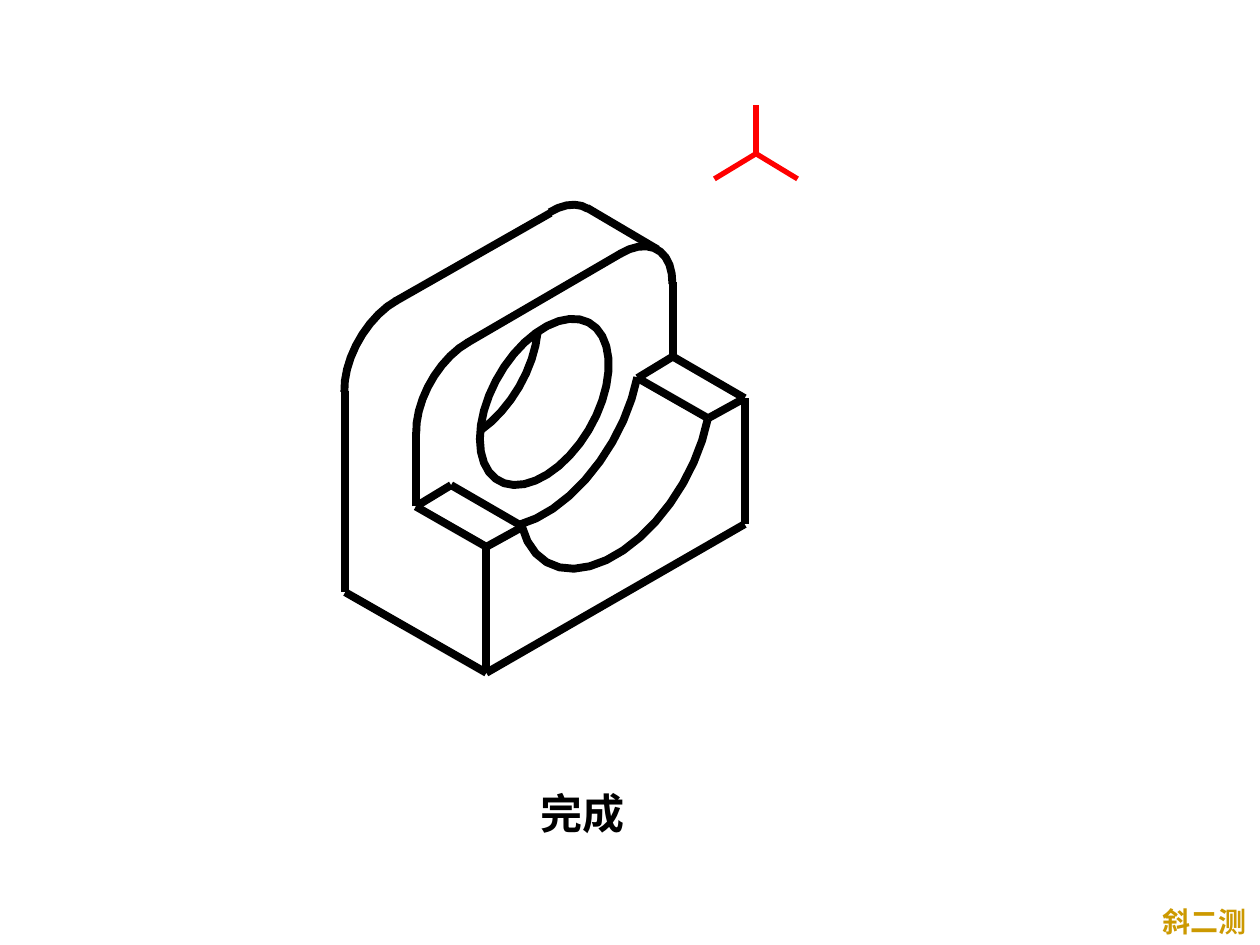
from dataclasses import dataclass
from math import ceil, cos, radians, sin

from lxml.etree import SubElement
from pptx import Presentation
from pptx.dml.color import RGBColor
from pptx.enum.shapes import MSO_CONNECTOR
from pptx.enum.text import MSO_ANCHOR, PP_ALIGN
from pptx.oxml.ns import qn
from pptx.util import Inches, Pt


@dataclass(frozen=True)
class Theme:
    font: str = "Times New Roman"
    ink: str = "000000"
    axis: str = "FF0000"
    note: str = "CC9900"
    title_size: int = 24
    note_size: int = 16
    outline: float = 4.5
    axis_line: float = 3


THEME = Theme()
TITLE = ("完成", (3.25, 6, 2.75, 0.9))
NOTE = ("斜二测", (9.13, 7.13, 0.86, 0.37))

POINTS = {
    "back left foot": (2.74, 4.7),
    "back left shoulder": (2.74, 3.1),
    "back left top": (3.14, 2.39),
    "back right top": (4.37, 1.69),
    "back tangent": (4.66, 1.65),
    "plate tangent": (5.22, 1.98),
    "plate left shoulder": (3.3, 3.43),
    "plate left top": (3.71, 2.72),
    "plate right top": (4.93, 2.01),
    "plate right shoulder": (5.34, 2.24),
    "left step outer": (3.3, 4.02),
    "left step inner": (3.58, 3.85),
    "right step outer": (5.34, 2.83),
    "right step inner": (5.06, 3),
    "front left top": (3.86, 4.34),
    "front left foot": (3.86, 5.34),
    "front right top": (5.91, 3.16),
    "front right foot": (5.91, 4.16),
    "groove left": (4.15, 4.18),
    "groove right": (5.62, 3.32),
    "axis origin": (6, 1.22),
    "axis up": (6, 0.83),
    "axis left": (5.67, 1.42),
    "axis right": (6.33, 1.42),
}

PART_EDGES = [
    ("plate right shoulder", "right step outer"),
    ("right step inner", "right step outer"),
    ("right step outer", "front right top"),
    ("left step outer", "plate left shoulder"),
    ("back left foot", "front left foot"),
    ("back left shoulder", "back left foot"),
    ("plate left top", "plate right top"),
    ("back right top", "back left top"),
    ("left step outer", "front left top"),
    ("left step outer", "left step inner"),
    ("groove right", "front right top"),
    ("front right top", "front right foot"),
    ("front right foot", "front left foot"),
    ("front left foot", "front left top"),
    ("front left top", "groove left"),
    ("groove left", "left step inner"),
    ("right step inner", "groove right"),
    ("plate tangent", "back tangent"),
]
AXIS_EDGES = [("axis origin", f"axis {end}") for end in ("right", "up", "left")]

# centre, radius, start angle, end angle
PART_ARCS = [
    ((3.71, 3.19), 0.47, 89, 182),
    ((3.14, 2.86), 0.47, 89, 182),
    ((4.37, 2.15), 0.47, 43, 91),
    ((4.93, 2.48), 0.47, -1, 91),
    ((4.88, 3.53), 0.88, 194.5, 345.5),
    ((4.32, 3.2), 0.88, 255, 345.5),
    ((4.32, 3.19), 0.59, 180, 540),
    ((3.76, 2.86), 0.59, -84, -6.5),
]
ARC_STEP = 10.5


def isometric_arc(center, radius, start, end):
    count = ceil((end - start) / ARC_STEP)
    angles = [radians(start + (end - start) * i / count) for i in range(count + 1)]
    return [
        (
            Inches(center[0] + radius * cos(angle) * cos(radians(30))),
            Inches(center[1] - radius * (cos(angle) * sin(radians(30)) + sin(angle))),
        )
        for angle in angles
    ]


def style_line(line, color, width):
    line.color.rgb = RGBColor.from_string(color)
    line.width = Pt(width)


def draw_edges(group, edges, color, width):
    for start, end in edges:
        ends = [Inches(value) for value in POINTS[start] + POINTS[end]]
        edge = group.shapes.add_connector(MSO_CONNECTOR.STRAIGHT, *ends)
        style_line(edge.line, color, width)
        SubElement(edge._element.spPr, qn("a:effectLst"))


def draw_arcs(group, arcs, color, width):
    for arc in arcs:
        first, *rest = isometric_arc(*arc)
        builder = group.shapes.build_freeform(*first, scale=1.0)
        curve = builder.add_line_segments(rest, close=False).convert_to_shape()
        curve.fill.background()
        curve.shadow.inherit = False
        style_line(curve.line, color, width)


def write_text(box, text, size, color, alignment):
    frame = box.text_frame
    frame.text = text
    paragraph = frame.paragraphs[0]
    paragraph.alignment = alignment
    font = paragraph.runs[0].font
    font.name, font.size, font.bold = THEME.font, Pt(size), True
    font.color.rgb = RGBColor.from_string(color)


def main():
    deck = Presentation()
    deck.slide_width, deck.slide_height = Inches(10), Inches(7.5)
    page = deck.slides.add_slide(deck.slide_layouts[5])

    text, place = TITLE
    title = page.shapes.title
    title.left, title.top, title.width, title.height = map(Inches, place)
    write_text(title, text, THEME.title_size, THEME.ink, PP_ALIGN.CENTER)
    title.text_frame.vertical_anchor = MSO_ANCHOR.MIDDLE

    part = page.shapes.add_group_shape()
    draw_edges(part, PART_EDGES, THEME.ink, THEME.outline)
    draw_arcs(part, PART_ARCS, THEME.ink, THEME.outline)
    axes = page.shapes.add_group_shape()
    draw_edges(axes, AXIS_EDGES, THEME.axis, THEME.axis_line)

    text, place = NOTE
    note = page.shapes.add_textbox(*map(Inches, place))
    write_text(note, text, THEME.note_size, THEME.note, PP_ALIGN.LEFT)
    note.text_frame.word_wrap = True
    note.text_frame.margin_right = 0

    deck.save("out.pptx")


if __name__ == "__main__":
    main()
